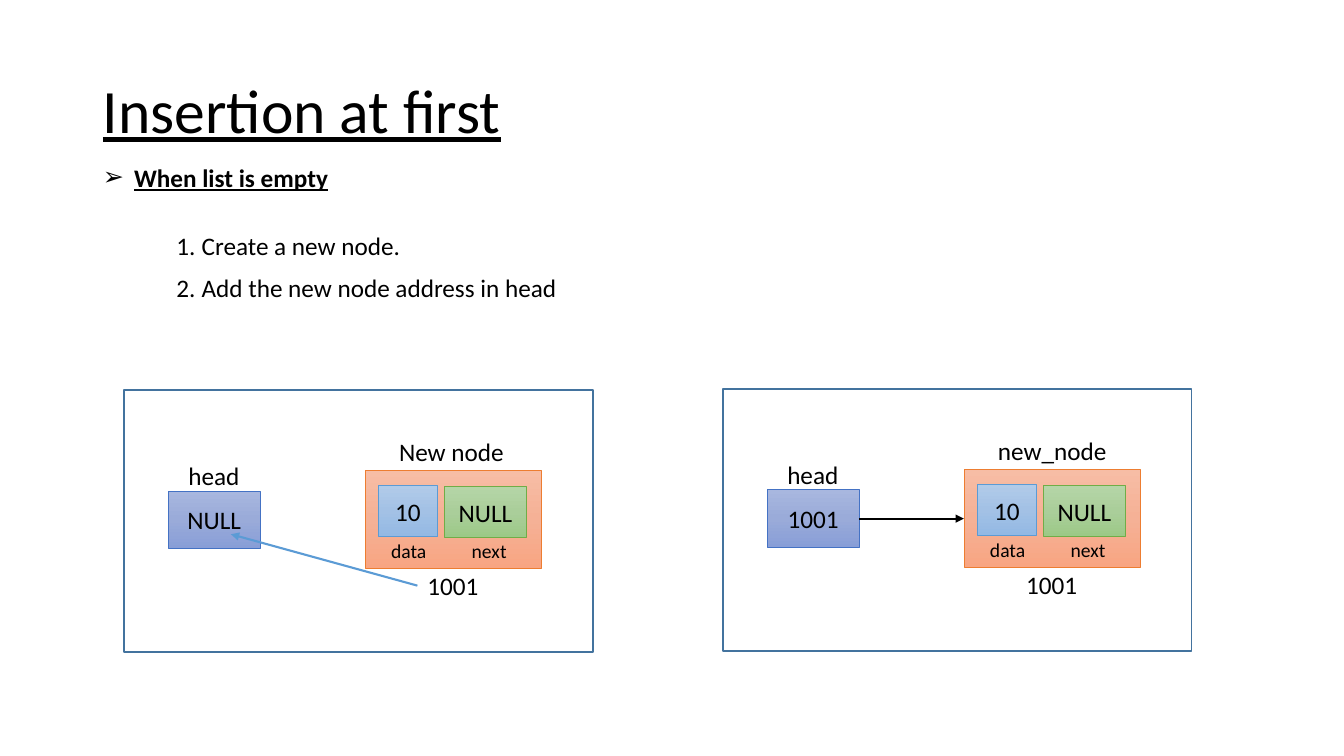
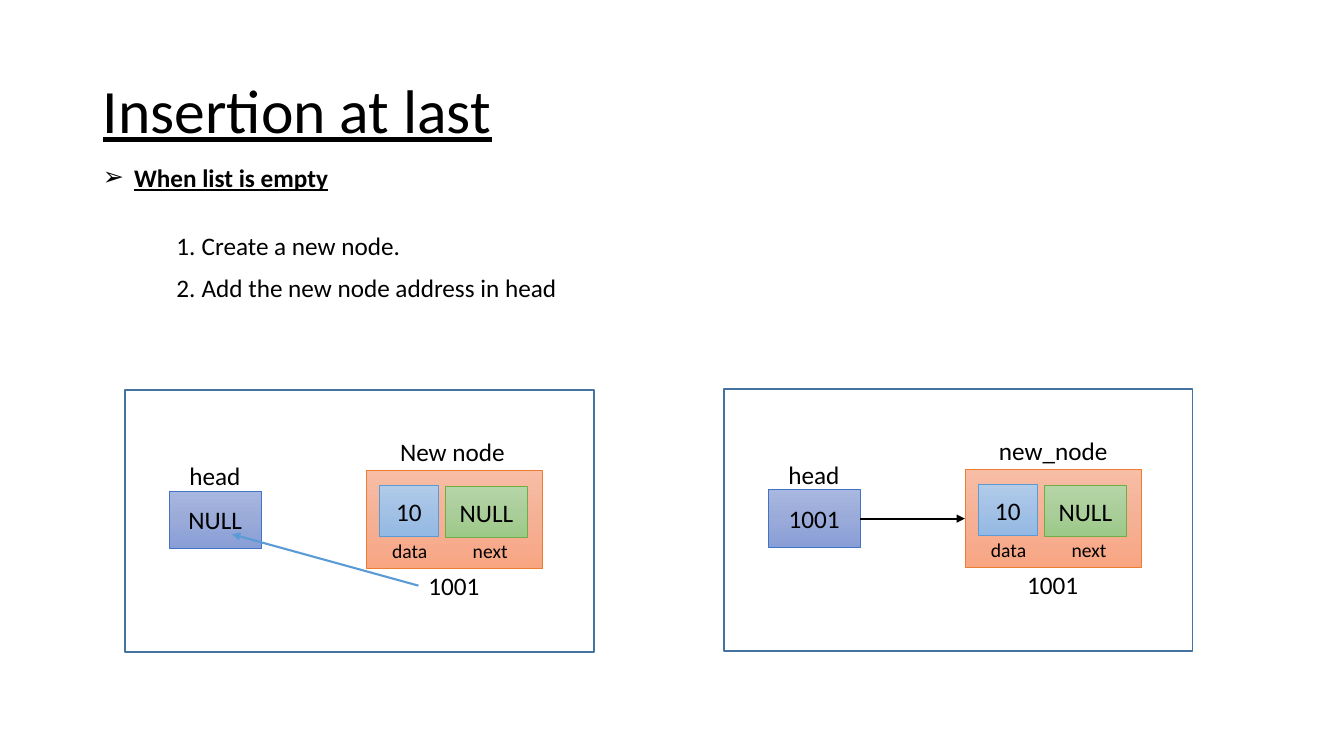
from copy import deepcopy
from dataclasses import dataclass

from lxml import etree
from pptx import Presentation
from pptx.dml.color import RGBColor
from pptx.enum.shapes import MSO_CONNECTOR, MSO_SHAPE
from pptx.enum.text import MSO_ANCHOR, MSO_AUTO_SIZE, PP_ALIGN
from pptx.oxml.ns import qn
from pptx.util import Inches, Pt

RECT = MSO_SHAPE.RECTANGLE
STRAIGHT = MSO_CONNECTOR.STRAIGHT
LEFT = PP_ALIGN.LEFT
TOP, MIDDLE = MSO_ANCHOR.TOP, MSO_ANCHOR.MIDDLE
NO_FIT, GROW = MSO_AUTO_SIZE.NONE, MSO_AUTO_SIZE.SHAPE_TO_FIT_TEXT
LEFT_SIDE, RIGHT_SIDE = 1, 3

FONT = "Calibri"
BLACK = RGBColor(0x00, 0x00, 0x00)
FRAME_BLUE = RGBColor(0x43, 0x73, 0x9E)
ARROW_BLUE = RGBColor(0x5B, 0x9B, 0xD5)


@dataclass(frozen=True)
class BoxStyle:
    top: RGBColor
    middle: RGBColor
    bottom: RGBColor
    line: RGBColor


ORANGE = BoxStyle(RGBColor(0xF7, 0xBD, 0xA5), RGBColor(0xF5, 0xB1, 0x96),
                  RGBColor(0xF8, 0xA5, 0x82), RGBColor(0xED, 0x7D, 0x31))
SKY = BoxStyle(RGBColor(0xB1, 0xCB, 0xE9), RGBColor(0xA3, 0xC1, 0xE5),
               RGBColor(0x93, 0xB9, 0xE4), ARROW_BLUE)
GREEN = BoxStyle(RGBColor(0xB5, 0xD5, 0xA7), RGBColor(0xAA, 0xCE, 0x9A),
                 RGBColor(0x9C, 0xC9, 0x87), RGBColor(0x70, 0xAD, 0x47))
INDIGO = BoxStyle(RGBColor(0xA8, 0xB7, 0xDF), RGBColor(0x9A, 0xAB, 0xD9),
                  RGBColor(0x88, 0x9E, 0xD7), RGBColor(0x44, 0x72, 0xC4))


@dataclass(frozen=True)
class Panel:
    left: float
    top: float
    node_name: str
    head_value: str
    linked: bool


@dataclass(frozen=True)
class ListLine:
    text: str
    indent: float
    hang: float
    before: float
    marker: str
    marker_attrs: dict
    emphasis: bool = False


NUMBERED = {"type": "arabicPeriod"}
LINES = [
    ListLine("When list is empty", 0.31, 0.31, 0, "a:buChar", {"char": "➢"}, True),
    ListLine("Create a new node.", 0.98, 0.25, 26.8, "a:buAutoNum", NUMBERED),
    ListLine("Add the new node address in head", 0.98, 0.25, 8.3, "a:buAutoNum", NUMBERED),
]
PANELS = [
    Panel(1.23, 3.87, "New node", "NULL", False),
    Panel(7.17, 3.86, "new_node", "1001", True),
]
# Title and horizontal shift of the diagrams
SLIDES = [("Insertion at first", 0), ("Insertion at last", 0.01)]


def add_run(p, text: str, size: float = 18, **extra):
    r = p.add_run()
    r.text = text
    for name, value in {"name": FONT, "size": Pt(size), **extra}.items():
        setattr(r.font, name, value)
    r.font.color.rgb = BLACK


def place(sp, left: float, top: float, width: float, height: float):
    sp.left, sp.top, sp.width, sp.height = map(Inches, (left, top, width, height))


def add_box(s, left: float, top: float, width: float, height: float,
            style: BoxStyle, text: str = ""):
    sp = s.shapes.add_shape(RECT, *map(Inches, (left, top, width, height)))
    sp.shadow.inherit = False
    sp.line.color.rgb = style.line
    sp.line.width = Pt(0.5)
    # Three-stop gradient running from top to bottom
    sp.fill.gradient()
    sp.fill.gradient_angle = 270
    stops = sp._element.spPr.find(qn("a:gradFill")).find(qn("a:gsLst"))
    stops.insert(1, deepcopy(stops[0]))
    colors = (style.top, style.middle, style.bottom)
    for stop, color, position in zip(sp.fill.gradient_stops, colors, (0, 0.5, 1)):
        stop.color.rgb = color
        stop.position = position
    if text:
        add_run(sp.text_frame.paragraphs[0], text)
    return sp


def add_label(s, left: float, top: float, width: float, text: str, size: float = 18):
    height = 0.4 if size == 18 else 0.34
    sp = s.shapes.add_textbox(*map(Inches, (left, top, width, height)))
    tf = sp.text_frame
    tf.word_wrap = False
    tf.auto_size = GROW
    add_run(tf.paragraphs[0], text, size)
    return sp


def add_arrow(s, start: tuple[float, float], end: tuple[float, float], color: RGBColor):
    line = s.shapes.add_connector(STRAIGHT, *map(Inches, (*start, *end)))
    line.line.color.rgb = color
    line.line.width = Pt(1.5)
    etree.SubElement(line.line._get_or_add_ln(), qn("a:tailEnd"), type="triangle")
    etree.SubElement(line._element.spPr, qn("a:effectLst"))
    return line


def add_panel(s, panel: Panel, shift: float):
    x, y = panel.left + shift, panel.top
    frame = s.shapes.add_shape(RECT, *map(Inches, (x, y, 4.65, 2.6)))
    frame.shadow.inherit = False
    frame.fill.background()
    frame.line.color.rgb = FRAME_BLUE
    frame.line.width = Pt(1)

    # Node with its two fields
    node = add_box(s, x + 2.39, y + 0.8, 1.75, 0.97, ORANGE)
    add_label(s, x + 2.63, y + 0.41, 1.4, panel.node_name)
    add_box(s, x + 2.52, y + 0.95, 0.59, 0.5, SKY, "10")
    add_box(s, x + 3.18, y + 0.96, 0.81, 0.5, GREEN, "NULL")
    add_label(s, x + 2.55, y + 1.43, 0.58, "data", 14)
    add_label(s, x + 3.35, y + 1.43, 0.58, "next", 14)
    address = add_label(s, x + 2.91, y + 1.74, 0.74, "1001")

    # Head pointer
    head = add_box(s, x + 0.44, y + 1, 0.91, 0.57, INDIGO, panel.head_value)
    add_label(s, x + 0.54, y + 0.65, 0.75, "head")

    if panel.linked:
        arrow = add_arrow(s, (x + 1.35, y + 1.28), (x + 2.39, y + 1.28), BLACK)
        arrow.begin_connect(head, RIGHT_SIDE)
        arrow.end_connect(node, LEFT_SIDE)
    else:
        arrow = add_arrow(s, (x + 2.91, y + 1.94), (x + 1.06, y + 1.43), ARROW_BLUE)
        arrow.begin_connect(address, LEFT_SIDE)


def add_title(s, text: str):
    sp = s.shapes.title
    place(sp, 0.92, 0.4, 11.5, 1.45)
    tf = sp.text_frame
    tf.vertical_anchor = MIDDLE
    tf.auto_size = NO_FIT
    p = tf.paragraphs[0]
    p.alignment = LEFT
    p.line_spacing = 0.9
    add_run(p, text, 44, underline=True)


def add_steps(s):
    sp = s.placeholders[1]
    place(sp, 0.92, 1.56, 6, 1.5)
    tf = sp.text_frame
    tf.auto_size = NO_FIT
    tf.vertical_anchor = TOP
    for i, line in enumerate(LINES):
        p = tf.add_paragraph() if i else tf.paragraphs[0]
        formats = {"alignment": LEFT, "line_spacing": 1.0,
                   "space_before": Pt(line.before), "space_after": Pt(0)}
        for name, value in formats.items():
            setattr(p, name, value)
        pPr = p._p.get_or_add_pPr()
        pPr.set("marL", str(Inches(line.indent)))
        pPr.set("indent", str(-Inches(line.hang)))
        etree.SubElement(pPr, qn("a:buFont"), typeface=FONT)
        etree.SubElement(pPr, qn(line.marker), line.marker_attrs)
        add_run(p, line.text, bold=line.emphasis, underline=line.emphasis)


def main():
    prs = Presentation()
    prs.slide_width, prs.slide_height = Inches(13.33), Inches(7.5)
    for title, shift in SLIDES:
        s = prs.slides.add_slide(prs.slide_layouts[1])
        add_title(s, title)
        add_steps(s)
        for panel in PANELS:
            add_panel(s, panel, shift)
    prs.save("out.pptx")


if __name__ == "__main__":
    main()
